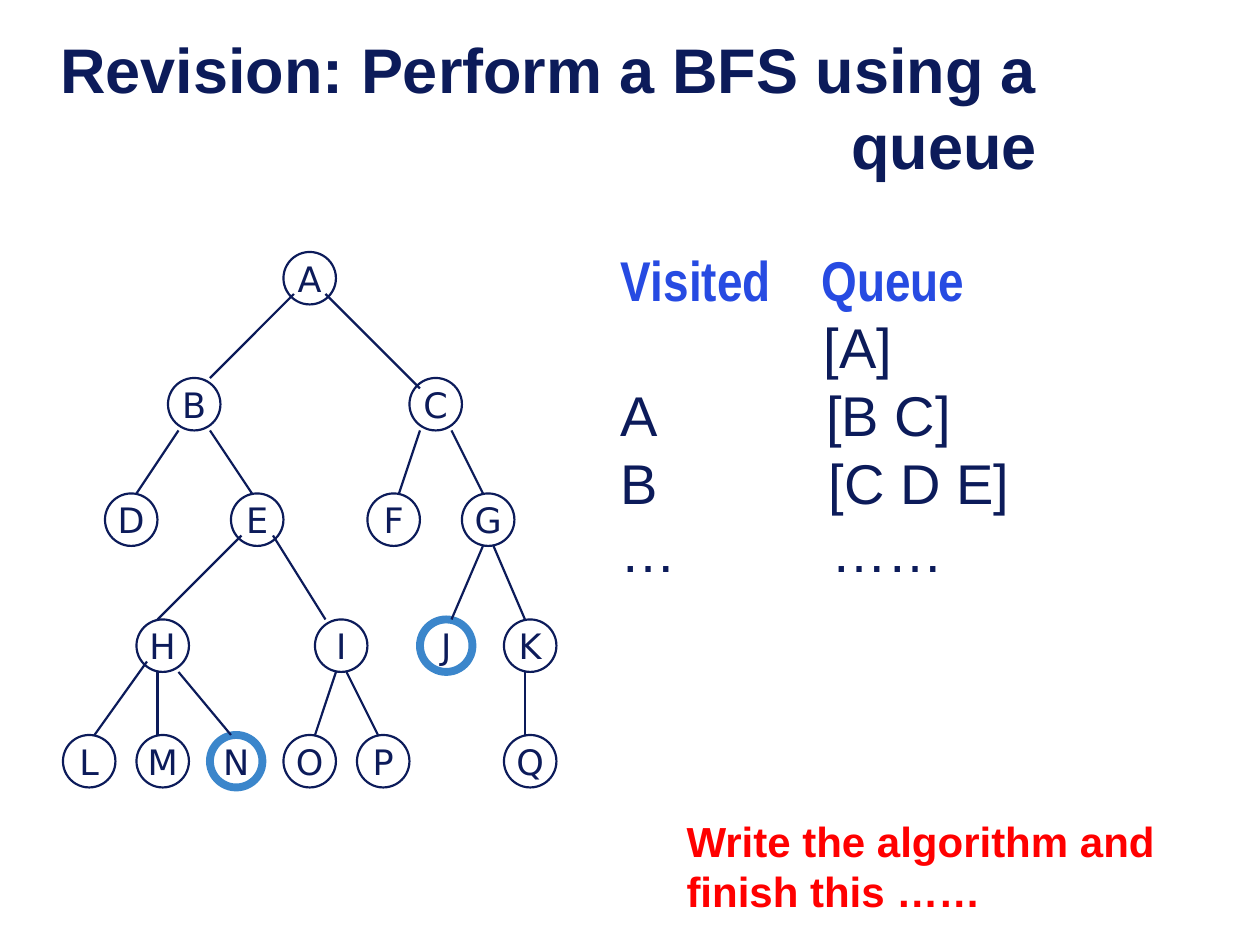
"""Build a slide that revises breadth-first search with a queue."""
from lxml import etree
from pptx import Presentation
from pptx.dml.color import RGBColor
from pptx.enum.shapes import MSO_CONNECTOR, MSO_SHAPE
from pptx.enum.text import MSO_ANCHOR, MSO_AUTO_SIZE, PP_ALIGN
from pptx.oxml.ns import qn
from pptx.util import Inches, Pt

OVAL = MSO_SHAPE.OVAL
LINE = MSO_CONNECTOR.STRAIGHT
MID, TOP = MSO_ANCHOR.MIDDLE, MSO_ANCHOR.TOP
LEFT, MIDDLE, RIGHT = PP_ALIGN.LEFT, PP_ALIGN.CENTER, PP_ALIGN.RIGHT
FIXED = MSO_AUTO_SIZE.NONE

HUES = {"navy": "0C1B5A", "blue": "274BE2", "ring": "3B86CB", "red": "FF0000"}
FONTS = {
    "title": {"name": "Arial", "size": Pt(36), "bold": True},
    "head": {"name": "Arial Narrow", "size": Pt(32), "bold": True},
    "row": {"name": "Arial", "size": Pt(32), "bold": False},
    "node": {"name": "DejaVu Sans", "size": Pt(20), "bold": False},
    "task": {"name": "Arial", "size": Pt(24), "bold": True},
}

UNIT = 1 / 12
SIZE = 5
LEVELS = {
    24: {"A": 27},
    36: {"B": 16, "C": 39},
    47: {"D": 10, "E": 22, "F": 35, "G": 44},
    59: {"H": 13, "I": 30, "J": 40, "K": 48},
    70: {"L": 6, "M": 13, "N": 20, "O": 27, "P": 34, "Q": 48},
}
GOALS = "JN"
EDGES = [
    (28, 28, 20, 36), (31, 28, 40, 37),
    (17, 41, 13, 47), (20, 41, 24, 47), (40, 41, 38, 47), (43, 41, 46, 47),
    (23, 51, 15, 59), (26, 51, 31, 59), (46, 52, 43, 59), (47, 52, 50, 59),
    (14, 63, 9, 70), (15, 64, 15, 70), (17, 64, 22, 70),
    (32, 64, 30, 70), (33, 64, 36, 70), (50, 64, 50, 70),
]
STEPS = [("Visited", "Queue"), ("", "[A]"), ("A", "[B C]"),
         ("B", "[C D E]"), ("…", "……")]


def hue(name):
    """Return the named colour."""
    return RGBColor.from_string(HUES[name])


def grid(*vals):
    """Turn grid units into lengths."""
    return [Inches(val * UNIT) for val in vals]


def style(para, kind, tone="navy", align=LEFT):
    """Give a paragraph its font, colour and alignment."""
    para.alignment = align
    for key, val in FONTS[kind].items():
        setattr(para.font, key, val)
    para.font.color.rgb = hue(tone)


def setup(frame, wrap=True, anchor=TOP):
    """Set the wrap, anchor and margins of a text frame."""
    form = {"auto_size": FIXED, "word_wrap": wrap, "vertical_anchor": anchor,
            "margin_left": Inches(0.1), "margin_right": Inches(0.1),
            "margin_top": Inches(0.05), "margin_bottom": Inches(0.05)}
    for key, val in form.items():
        setattr(frame, key, val)


def add_title(slide, text):
    """Place and format the title."""
    title = slide.shapes.title
    spot = {"left": 0.08, "top": 0.58, "width": 8.25, "height": 0.53}
    for key, val in spot.items():
        setattr(title, key, Inches(val))
    setup(title.text_frame, anchor=MID)
    title.text_frame.text = text
    style(title.text_frame.paragraphs[0], "title", align=RIGHT)


def add_text(slide, box, lines, wrap=True):
    """Add a text box and return its paragraphs."""
    frame = slide.shapes.add_textbox(*map(Inches, box)).text_frame
    setup(frame, wrap)
    frame.text = "\n".join(lines)
    return frame.paragraphs


def add_tab(para, pos):
    """Add a left tab stop to a paragraph."""
    props = para._p.get_or_add_pPr()
    tabs = etree.SubElement(props, qn("a:tabLst"))
    etree.SubElement(tabs, qn("a:tab"), pos=str(Inches(pos)), algn="l")


def add_steps(slide):
    """List the visited nodes beside the queue."""
    lines = ["\t".join(step) for step in STEPS]
    paras = add_text(slide, (4.83, 2, 4.25, 4.42), lines)
    for i, para in enumerate(paras):
        add_tab(para, 1.59 + 0.02 * i)
        para.line_spacing = 0.8
        if i:
            para.space_before = Pt(8)
        style(para, "row" if i else "head", "navy" if i else "blue")


def add_node(tree, name, left, top):
    """Draw one labelled node, ringed if it is a goal."""
    node = tree.add_shape(OVAL, *grid(left, top, SIZE, SIZE))
    node.shadow.inherit = False
    node.fill.background()
    goal = name in GOALS
    node.line.color.rgb = hue("ring" if goal else "navy")
    node.line.width = Pt(4.5 if goal else 1.25)
    setup(node.text_frame, False, MID)
    node.text_frame.text = name
    style(node.text_frame.paragraphs[0], "node", align=MIDDLE)


def add_edge(tree, ends):
    """Draw one edge of the tree."""
    edge = tree.add_connector(LINE, *grid(*ends))
    edge.line.color.rgb = hue("navy")
    edge.line.width = Pt(1.25)
    etree.SubElement(edge._element.spPr, qn("a:effectLst"))


def add_tree(slide):
    """Draw the whole tree as one group."""
    tree = slide.shapes.add_group_shape().shapes
    for top, row in LEVELS.items():
        for name, left in row.items():
            add_node(tree, name, left, top)
    for ends in EDGES:
        add_edge(tree, ends)


def main():
    """Build and save the slide."""
    deck = Presentation()
    deck.slide_width, deck.slide_height = Inches(10), Inches(7.5)
    slide = deck.slides.add_slide(deck.slide_layouts[5])
    add_title(slide, "Revision: Perform a BFS using a queue")
    add_steps(slide)
    add_tree(slide)
    task = ["Write the algorithm and", "finish this ……"]
    for para in add_text(slide, (5.35, 6.42, 3.92, 0.9), task, False):
        style(para, "task", "red")
    deck.save("out.pptx")


if __name__ == "__main__":
    main()
